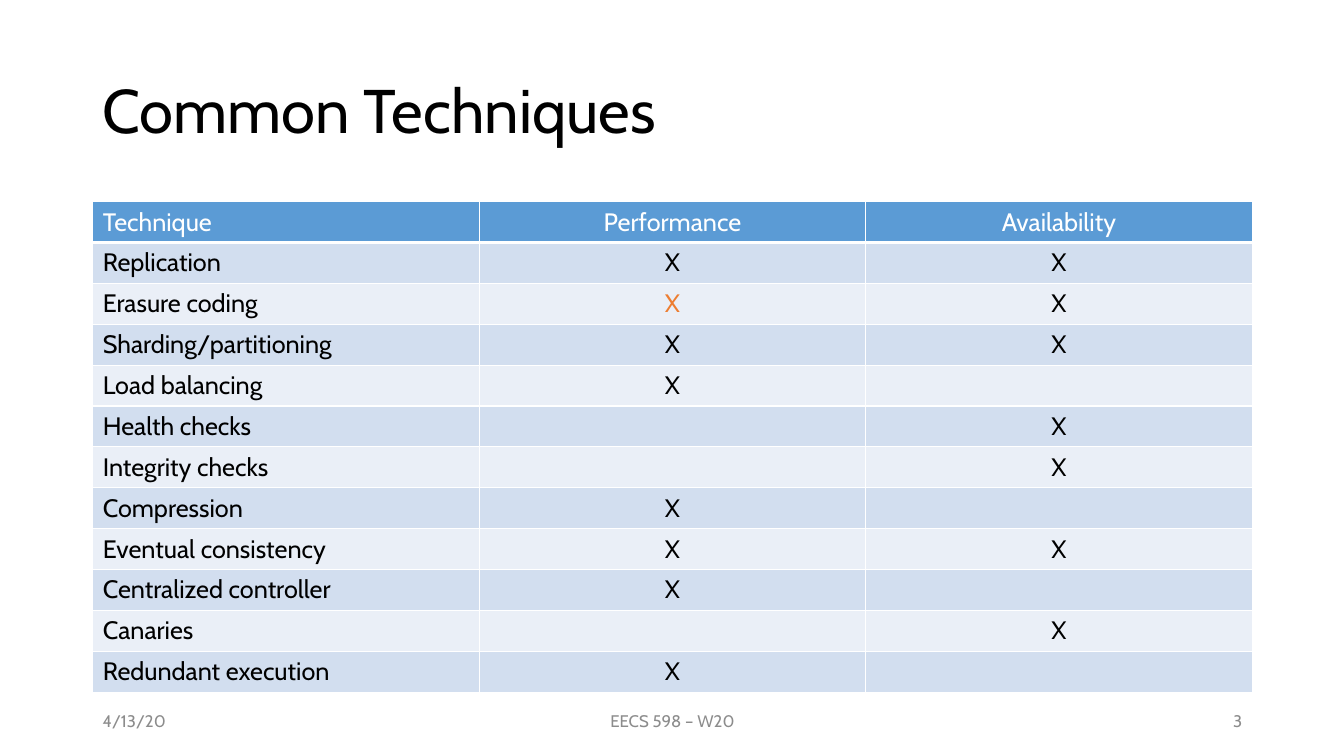
from lxml.etree import SubElement
from pptx import Presentation
from pptx.dml.color import RGBColor
from pptx.enum.text import MSO_ANCHOR, PP_ALIGN
from pptx.oxml.ns import qn
from pptx.util import Inches, Pt

COLORS = {
    "black": "000000",
    "white": "FFFFFF",
    "gray": "8C8C8C",
    "header": "5B9BD5",
    "band_dark": "D2DEEF",
    "band_light": "EAEFF7",
    "accent": "ED7D31",
}

HEADINGS = ["Technique", "Performance", "Availability"]
TECHNIQUES = [
    ("Replication", "X", "X"),
    ("Erasure coding", "X", "X"),
    ("Sharding/partitioning", "X", "X"),
    ("Load balancing", "X", ""),
    ("Health checks", "", "X"),
    ("Integrity checks", "", "X"),
    ("Compression", "X", ""),
    ("Eventual consistency", "X", "X"),
    ("Centralized controller", "X", ""),
    ("Canaries", "", "X"),
    ("Redundant execution", "X", ""),
]
ACCENT_CELL = (2, 1)


def rgb(name):
    return RGBColor.from_string(COLORS[name])


def write(tf, text, font="Cabin", size=18, color="black",
          align=PP_ALIGN.LEFT, spacing=None):
    p = tf.paragraphs[0]
    p.alignment = align
    if spacing:
        p.line_spacing = spacing
    r = p.add_run()
    r.text = text
    r.font.name = font
    r.font.size = Pt(size)
    r.font.bold = False
    r.font.color.rgb = rgb(color)


class Deck:
    def __init__(self, prs, font="Cabin"):
        self.font = font
        self.s = prs.slides.add_slide(prs.slide_layouts[6])

    def text(self, x, y, w, h, text, **fmt):
        sp = self.s.shapes.add_textbox(Inches(x), Inches(y), Inches(w), Inches(h))
        tf = sp.text_frame
        tf.word_wrap = True
        tf.vertical_anchor = MSO_ANCHOR.MIDDLE
        write(tf, text, font=self.font, **fmt)

    def borders(self, cell, bottom):
        tcPr = cell._tc.get_or_add_tcPr()
        widths = {"a:lnL": 1, "a:lnR": 1, "a:lnT": 1, "a:lnB": bottom}
        for tag, width in widths.items():
            ln = SubElement(tcPr, qn(tag), w=str(Pt(width)))
            fill = SubElement(ln, qn("a:solidFill"))
            SubElement(fill, qn("a:srgbClr"), val=COLORS["white"])

    def table(self, x, y, w, h, rows, accent):
        frame = self.s.shapes.add_table(
            len(rows), len(rows[0]), Inches(x), Inches(y), Inches(w), Inches(h))
        for i, row in enumerate(rows):
            for j, text in enumerate(row):
                cell = frame.table.cell(i, j)
                self.borders(cell, bottom=1 if i else 3)
                band = "band_dark" if i % 2 else "band_light"
                cell.fill.solid()
                cell.fill.fore_color.rgb = rgb(band if i else "header")
                if text:
                    color = "black" if i else "white"
                    write(cell.text_frame, text, font=self.font,
                          color="accent" if (i, j) == accent else color,
                          align=PP_ALIGN.CENTER if j else PP_ALIGN.LEFT)


def main():
    prs = Presentation()
    prs.slide_width, prs.slide_height = Inches(13.33), Inches(7.5)
    deck = Deck(prs)
    deck.text(0.92, 0.4, 11.5, 1.45, "Common Techniques", size=44, spacing=0.9)
    deck.table(0.92, 2, 11.5, 4.87, [HEADINGS, *TECHNIQUES], ACCENT_CELL)
    footers = [
        (0.92, 3, "4/13/20", PP_ALIGN.LEFT),
        (4.42, 4.5, "EECS 598 – W20", PP_ALIGN.CENTER),
        (9.42, 3, "3", PP_ALIGN.RIGHT),
    ]
    for x, w, text, align in footers:
        deck.text(x, 6.95, w, 0.4, text, size=12, color="gray", align=align)
    prs.save("out.pptx")


if __name__ == "__main__":
    main()
